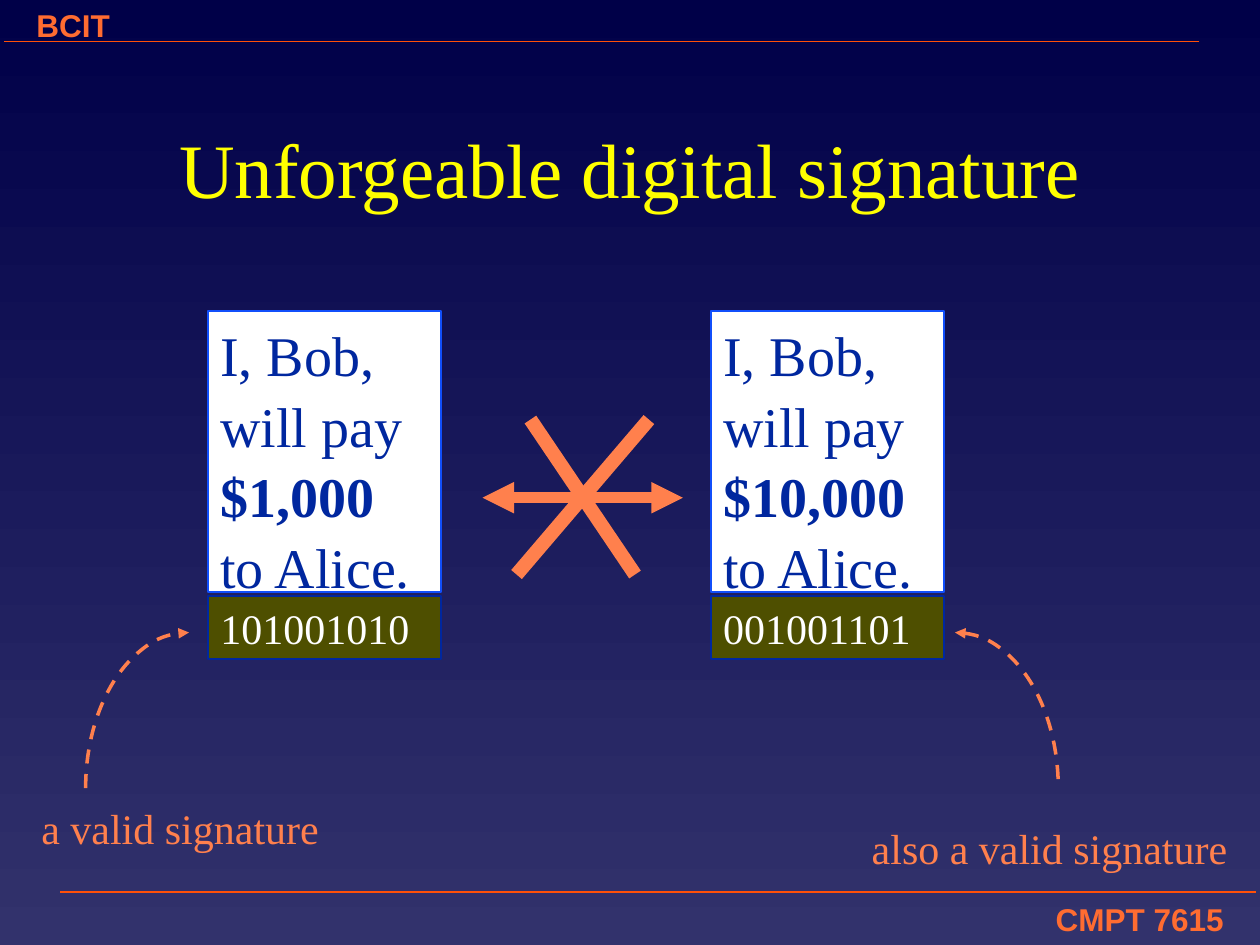
import pptx
import pptx.util
import pptx.dml.color
import pptx.enum.dml
import pptx.enum.shapes
import pptx.enum.text
import pptx.oxml.ns
import lxml.etree

SHAPE = pptx.enum.shapes.MSO_SHAPE
ALIGN = pptx.enum.text.PP_ALIGN
ANCHOR = pptx.enum.text.MSO_ANCHOR
FIT = pptx.enum.text.MSO_AUTO_SIZE
SERIF, SANS = "Times New Roman", "Arial"
ORANGE, RULE, MARK = "FF6C31", "FF5008", "FF804D"
inch = pptx.util.Inches

# Content: each message with its amount and signature, and its left edge
messages = [
    (1.65, [("$1,000", True), (" to Alice.", False)], "101001010"),
    (5.64, [("$10,000 ", True), ("to Alice.", False)], "001001101"),
]
CARD_TOP, CARD_WIDTH, CARD_HEIGHT = 2.47, 1.85, 2.23
SIGNATURE_TOP, SIGNATURE_HEIGHT = 4.73, 0.5
# text, box, size, font, colour, bold, alignment, wrap
labels = [
    ("CMPT 7615", (5.3, 7.09, 4.51, 0.4), 18, SANS, ORANGE, True, ALIGN.RIGHT, True),
    ("BCIT", (0.19, 0, 4.51, 0.4), 18, SANS, ORANGE, True, ALIGN.LEFT, True),
    ("a valid signature", (0.23, 6.32, 2.4, 0.5), 24, SERIF, MARK, False, ALIGN.LEFT, False),
    ("also a valid signature", (6.82, 6.48, 3.02, 0.5), 24, SERIF, MARK, False, ALIGN.LEFT, False),
]
rules = [(9.97, 7.08, 0.48, 7.08), (9.52, 0.33, 0.03, 0.33)]
cross = [(5.15, 3.33, 4.1, 4.56), (4.21, 3.33, 5.04, 4.56)]
# left edge, start and end angle in degrees, arrowhead end
arcs = [(0.68, 180, 270, "tailEnd"), (6.76, 270, 0, "headEnd")]
ARC_TOP, ARC_WIDTH, ARC_HEIGHT = 5.02, 1.64, 2.47


def rgb(color):
    return pptx.dml.color.RGBColor.from_string(color)


def style_line(shape, color, width, arrow_ends=()):
    shape.line.color.rgb = rgb(color)
    shape.line.width = pptx.util.Pt(width)
    for end in arrow_ends:
        tag = pptx.oxml.ns.qn("a:" + end)
        lxml.etree.SubElement(shape.line._get_or_add_ln(), tag, type="triangle")


def add_line(shapes, ends, color, width, arrow_ends=()):
    line = shapes.add_connector(
        pptx.enum.shapes.MSO_CONNECTOR.STRAIGHT, *map(inch, ends))
    style_line(line, color, width, arrow_ends)
    lxml.etree.SubElement(line._element.spPr, pptx.oxml.ns.qn("a:effectLst"))


def write(shape, paragraphs, size, font, color, bold=False, align=ALIGN.LEFT,
          wrap=True, anchor=ANCHOR.TOP, fit=FIT.SHAPE_TO_FIT_TEXT, spacing=None):
    frame = shape.text_frame
    frame.word_wrap, frame.vertical_anchor, frame.auto_size = wrap, anchor, fit
    for index, runs in enumerate(paragraphs):
        paragraph = frame.add_paragraph() if index else frame.paragraphs[0]
        paragraph.alignment, paragraph.line_spacing = align, spacing
        paragraph.font.size, paragraph.font.name = pptx.util.Pt(size), font
        paragraph.font.color.rgb, paragraph.font.bold = rgb(color), bold
        for text, strong in runs:
            run = paragraph.add_run()
            run.text = text
            if strong:
                run.font.bold = True


def add_panel(box, fill, outline):
    panel = slide.shapes.add_shape(SHAPE.RECTANGLE, *map(inch, box))
    panel.shadow.inherit = False
    panel.fill.solid()
    panel.fill.fore_color.rgb = rgb(fill)
    style_line(panel, outline, 1)
    return panel


deck = pptx.Presentation()
deck.slide_width, deck.slide_height = inch(10), inch(7.5)
slide = deck.slides.add_slide(deck.slide_layouts[6])

# Background gradient, top to bottom
background = slide.background.fill
background.gradient()
background.gradient_angle = 270
for stop, color, position in zip(background.gradient_stops, ("000048", "32326C"), (0, 1)):
    stop.color.rgb = rgb(color)
    stop.position = position

# Header and footer rules, title and labels
for rule in rules:
    add_line(slide.shapes, rule, RULE, 1)
title = slide.shapes.add_textbox(*map(inch, (1.22, 0.42, 7.56, 1.33)))
write(title, [[("Unforgeable digital signature", False)]], 44, SERIF, "FFFF00",
      align=ALIGN.CENTER, anchor=ANCHOR.BOTTOM, fit=FIT.NONE)
for text, box, *style in labels:
    write(slide.shapes.add_textbox(*map(inch, box)), [[(text, False)]], *style)

# Crossed-out double arrow
crossed_arrow = slide.shapes.add_group_shape().shapes
add_line(crossed_arrow, (3.83, 3.95, 5.42, 3.95), MARK, 6, ("headEnd", "tailEnd"))
for stroke in cross:
    add_line(crossed_arrow, stroke, MARK, 8)

# Messages with their signatures
for left, payment, signature in messages:
    card = add_panel((left, CARD_TOP, CARD_WIDTH, CARD_HEIGHT), "FFFFFF", "114FFB")
    write(card, [[("I, Bob, will pay", False)], payment], 32, SERIF, "00279F", spacing=1.05)
    strip = add_panel((left, SIGNATURE_TOP, CARD_WIDTH, SIGNATURE_HEIGHT), "4E4F00", "00279F")
    write(strip, [[(signature, False)]], 24, SERIF, "FFFFFF")

# Dashed arcs from the labels to the signatures
for left, start, end, arrow_end in arcs:
    arc = slide.shapes.add_shape(
        SHAPE.ARC, *map(inch, (left, ARC_TOP, ARC_WIDTH, ARC_HEIGHT)))
    arc.shadow.inherit = False
    arc.fill.background()
    # Angles are stored in 60000ths of a degree, adjustments in 100000ths
    arc.adjustments[0], arc.adjustments[1] = start * 0.6, end * 0.6
    arc.line.dash_style = pptx.enum.dml.MSO_LINE.DASH
    style_line(arc, MARK, 2, (arrow_end,))

deck.save("out.pptx")
